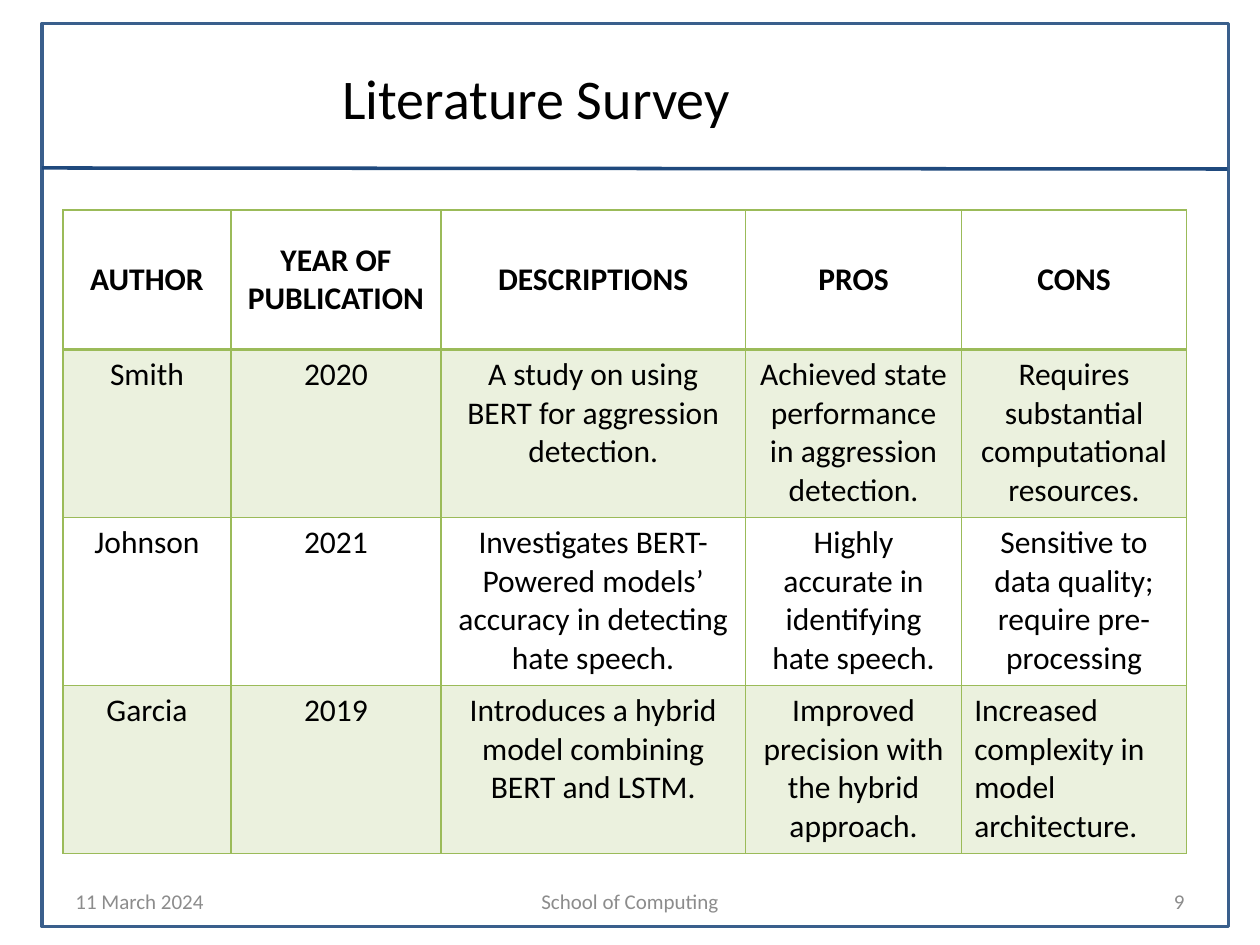
from lxml.etree import SubElement as Sub
from pptx import Presentation
from pptx.dml.color import RGBColor as Rgb
from pptx.enum.shapes import MSO_CONNECTOR as Conn, MSO_SHAPE as Kind
from pptx.enum.text import MSO_ANCHOR as Anchor, PP_ALIGN as Align
from pptx.oxml.ns import qn
from pptx.util import Inches, Pt

HUES = {"frame": "3A5F8C", "rule": "1F497D", "green": "9BBB59",
        "tint": "EBF1DE", "ink": "000000", "gray": "8C8C8C"}
COLS, ROWS = 120, 90
HEAD = ["AUTHOR", "YEAR OF PUBLICATION", "DESCRIPTIONS", "PROS", "CONS"]
BODY = [
    ["Smith", "2020", "A study on using BERT for aggression detection.",
     "Achieved state performance in aggression detection.",
     "Requires substantial computational resources."],
    ["Johnson", "2021",
     "Investigates BERT-Powered models’ accuracy in detecting hate speech.",
     "Highly accurate in identifying hate speech.",
     "Sensitive to data quality; require pre-processing"],
    ["Garcia", "2019", "Introduces a hybrid model combining BERT and LSTM.",
     "Improved precision with the hybrid approach.",
     "Increased complexity in model architecture."],
]


def hue(name):
    return Rgb.from_string(HUES[name])


def write(frame, text, size=18, color="ink", bold=False,
          align=Align.CENTER, anchor=Anchor.MIDDLE):
    frame.word_wrap = True
    frame.vertical_anchor = anchor
    para = frame.paragraphs[0]
    para.alignment = align
    run = para.add_run()
    run.text = text
    font = run.font
    font.name, font.size, font.bold = "Calibri", Pt(size), bold
    font.color.rgb = hue(color)


class Deck:
    """Slide builder that measures on a grid of 120 columns by 90 rows."""

    def __init__(self):
        self.show = Presentation()
        self.show.slide_width, self.show.slide_height = Inches(10), Inches(7.5)
        self.slide = self.show.slides.add_slide(self.show.slide_layouts[5])
        self.shapes = self.slide.shapes

    def across(self, col):
        return round(self.show.slide_width * col / COLS)

    def down(self, row):
        return round(self.show.slide_height * row / ROWS)

    def box(self, x, y, w, h):
        return self.across(x), self.down(y), self.across(w), self.down(h)

    def stroke(self, line, color):
        line.color.rgb = hue(color)
        line.width = Pt(2)

    def frame(self, *area):
        rect = self.shapes.add_shape(Kind.RECTANGLE, *self.box(*area))
        rect.shadow.inherit = False
        rect.fill.background()
        self.stroke(rect.line, "frame")

    def rule(self, *ends):
        line = self.shapes.add_connector(Conn.STRAIGHT, *self.box(*ends))
        self.stroke(line.line, "rule")
        Sub(line._element.spPr, qn("a:effectLst"))

    def title(self, text, *area, indent):
        head = self.shapes.title
        head.left, head.top, head.width, head.height = self.box(*area)
        head.text_frame.margin_left = self.across(indent)
        write(head.text_frame, text, size=32, align=Align.LEFT)

    def note(self, text, *area, align):
        box = self.shapes.add_textbox(*self.box(*area))
        write(box.text_frame, text, size=12, color="gray", align=align)

    def edges(self, cell, **widths):
        props = cell._tc.get_or_add_tcPr()
        for side, width in widths.items():
            line = Sub(props, qn(f"a:ln{side}"), w=str(Pt(width)))
            Sub(Sub(line, qn("a:solidFill")), qn("a:srgbClr"), val=HUES["green"])

    def table(self, data, x, y, wide, high):
        grid = self.shapes.add_table(
            len(high), len(wide), *self.box(x, y, sum(wide), sum(high))).table
        grid.first_row = grid.horz_banding = False
        for col, width in zip(grid.columns, wide):
            col.width = self.across(width)
        for r, (row, height) in enumerate(zip(grid.rows, high)):
            row.height = self.down(height)
            for c, (cell, text) in enumerate(zip(row.cells, data[r])):
                self.edges(cell, L=1, R=1, T=2 if r == 1 else 1,
                           B=1 if r else 2)
                if r % 2:
                    cell.fill.solid()
                    cell.fill.fore_color.rgb = hue("tint")
                else:
                    cell.fill.background()
                last = r == len(high) - 1 and c == len(wide) - 1
                write(cell.text_frame, text, bold=r == 0,
                      align=Align.LEFT if last else Align.CENTER)
                cell.vertical_anchor = Anchor.TOP if r else Anchor.MIDDLE


def main():
    deck = Deck()
    deck.frame(4, 2.25, 113, 86)
    deck.rule(4, 16, 116.9, 16.1)
    deck.title("Literature Survey", 5, 5, 108, 8.6, indent=27.6)
    deck.note("11 March 2024", 6, 83.4, 28, 4.8, align=Align.LEFT)
    deck.note("School of Computing", 41, 83.4, 38, 4.8, align=Align.CENTER)
    deck.note("9", 86, 83.4, 28, 4.8, align=Align.RIGHT)
    deck.table([HEAD] + BODY, 6, 20, [16, 20, 29, 20.6, 21.4],
               [13.3, 16, 16, 16])
    deck.show.save("out.pptx")


if __name__ == "__main__":
    main()
